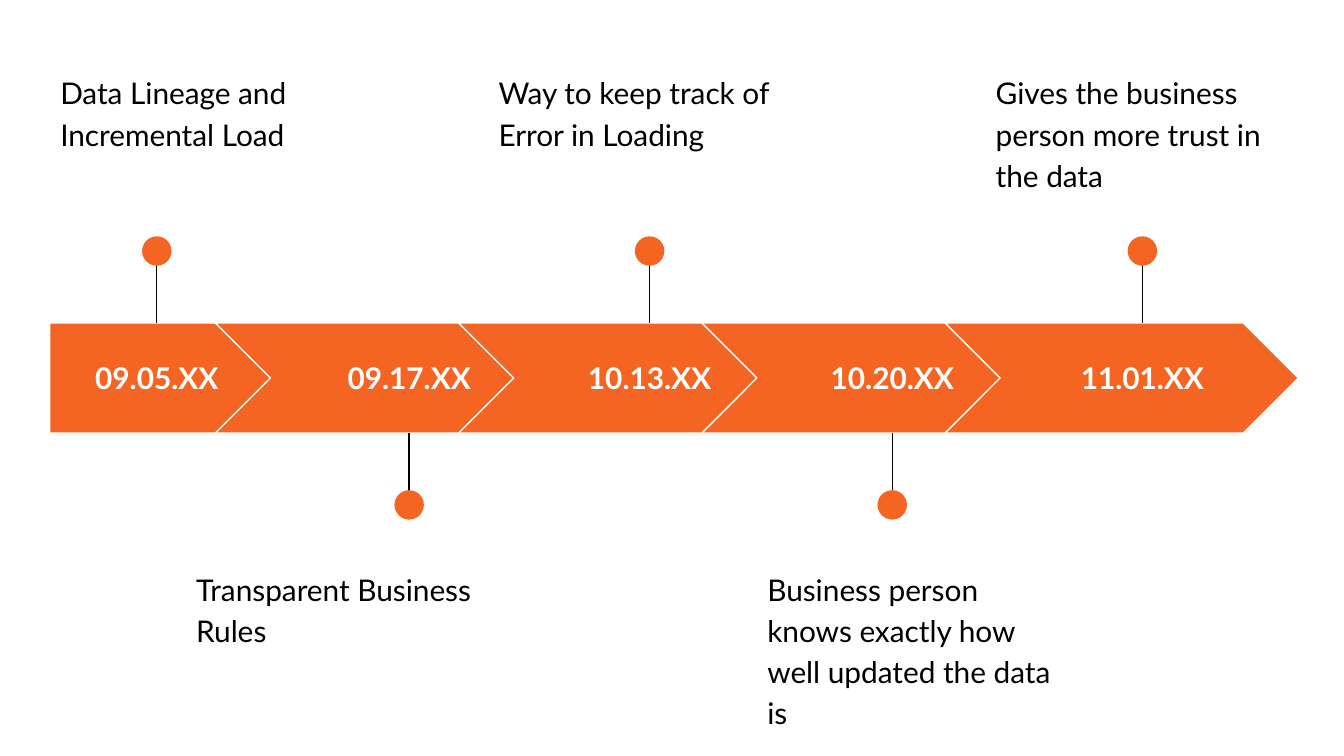
from pptx import Presentation
from pptx.dml.color import RGBColor
from pptx.enum.shapes import MSO_CONNECTOR, MSO_SHAPE
from pptx.enum.text import MSO_ANCHOR, PP_ALIGN
from pptx.oxml.ns import qn
from pptx.util import Pt

ORANGE = RGBColor(0xF4, 0x65, 0x24)
WHITE = RGBColor(0xFF, 0xFF, 0xFF)
BLACK = RGBColor(0, 0, 0)

BAND = (26.6, 173, 669, 59)
PITCH, NOTCH = 130.3, 29.5
STEM, DOT = 38.5, 15.8
DATE_W, DATE_H = 110, 36.7
NOTE_W, NOTE_H = 176.4, 71.3
NOTE_UP, NOTE_DOWN = 30.2, 296

DATE = {
    "font": {"bold": True},
    "para": {"alignment": PP_ALIGN.CENTER},
    "frame": {"vertical_anchor": MSO_ANCHOR.MIDDLE},
}
NOTE = {
    "font": {"bold": False},
    "para": {"line_spacing": 1.15, "space_after": Pt(16)},
    "frame": {"vertical_anchor": MSO_ANCHOR.TOP},
}

STEPS = [
    ("09.05.XX", 84, "Data Lineage and Incremental Load", 25.2),
    ("09.17.XX", 219.2, "Transparent Business Rules", 98),
    ("10.13.XX", 348, "Way to keep track of Error in Loading", 260),
    ("10.20.XX", 478, "Business person knows exactly how well updated the data is", 404),
    ("11.01.XX", 612, "Gives the business person more trust in the data", 526.3),
]


def apply(target, values):
    """Set each named attribute on the target."""
    for name, value in values.items():
        setattr(target, name, value)


def add_text(slide, box, text, style, color):
    """Place wrapped text in a box with the given style."""
    frame = slide.shapes.add_textbox(*map(Pt, box)).text_frame
    sides = ("left", "top", "right", "bottom")
    apply(frame, {f"margin_{side}": Pt(7.2) for side in sides})
    apply(frame, {"word_wrap": True, **style["frame"]})
    para = frame.paragraphs[0]
    apply(para, style["para"])
    run = para.add_run()
    run.text = text
    apply(run.font, {"name": "Lato", "size": Pt(16), **style["font"]})
    run.font.color.rgb = color


def add_solid(slide, kind, box):
    """Place an orange shape without shadow or outline."""
    shape = slide.shapes.add_shape(kind, *map(Pt, box))
    shape.shadow.inherit = False
    shape.fill.solid()
    shape.fill.fore_color.rgb = ORANGE
    shape.line.fill.background()
    return shape


def add_band(slide, box, count):
    """Fill the box with a pentagon followed by evenly spaced chevrons."""
    left, top, width, height = box
    last = left + width - PITCH - NOTCH
    for i in range(count):
        start = last - (count - 1 - i) * PITCH - (NOTCH if i else 0)
        kind = MSO_SHAPE.CHEVRON if i else MSO_SHAPE.PENTAGON
        first = left if i == 0 else start + NOTCH - 1.5
        end = start + PITCH + (2 * NOTCH if i else NOTCH)
        x = left if i == 0 else start
        arrow = add_solid(slide, kind, (x, top, end - x, height))
        arrow.line.color.rgb = WHITE
        arrow.line.width = Pt(0.75)


def add_step(slide, box, step, above):
    """Add a date on the band, with its pin and note above or below."""
    date, mid, note, left = step
    top, height = box[1], box[3]
    edge, sign = (top, -1) if above else (top + height, 1)
    tip = edge + sign * STEM
    date_top = top + (height - DATE_H) / 2
    add_text(slide, (mid - DATE_W / 2, date_top, DATE_W, DATE_H), date, DATE, WHITE)
    ends = map(Pt, (mid, tip, mid, edge))
    stem = slide.shapes.add_connector(MSO_CONNECTOR.STRAIGHT, *ends)
    stem.line.color.rgb = BLACK
    stem.line.width = Pt(0.75)
    props = stem._element.spPr
    props.append(props.makeelement(qn("a:effectLst"), {}))
    add_solid(slide, MSO_SHAPE.OVAL, (mid - DOT / 2, tip - DOT / 2, DOT, DOT))
    note_top = NOTE_UP if above else NOTE_DOWN
    add_text(slide, (left, note_top, NOTE_W, NOTE_H), note, NOTE, BLACK)


def main():
    """Build the timeline slide and save it."""
    deck = Presentation()
    deck.slide_width, deck.slide_height = Pt(720), Pt(405)
    slide = deck.slides.add_slide(deck.slide_layouts[6])
    add_band(slide, BAND, len(STEPS))
    for i, step in enumerate(STEPS):
        add_step(slide, BAND, step, above=i % 2 == 0)
    deck.save("out.pptx")


if __name__ == "__main__":
    main()
